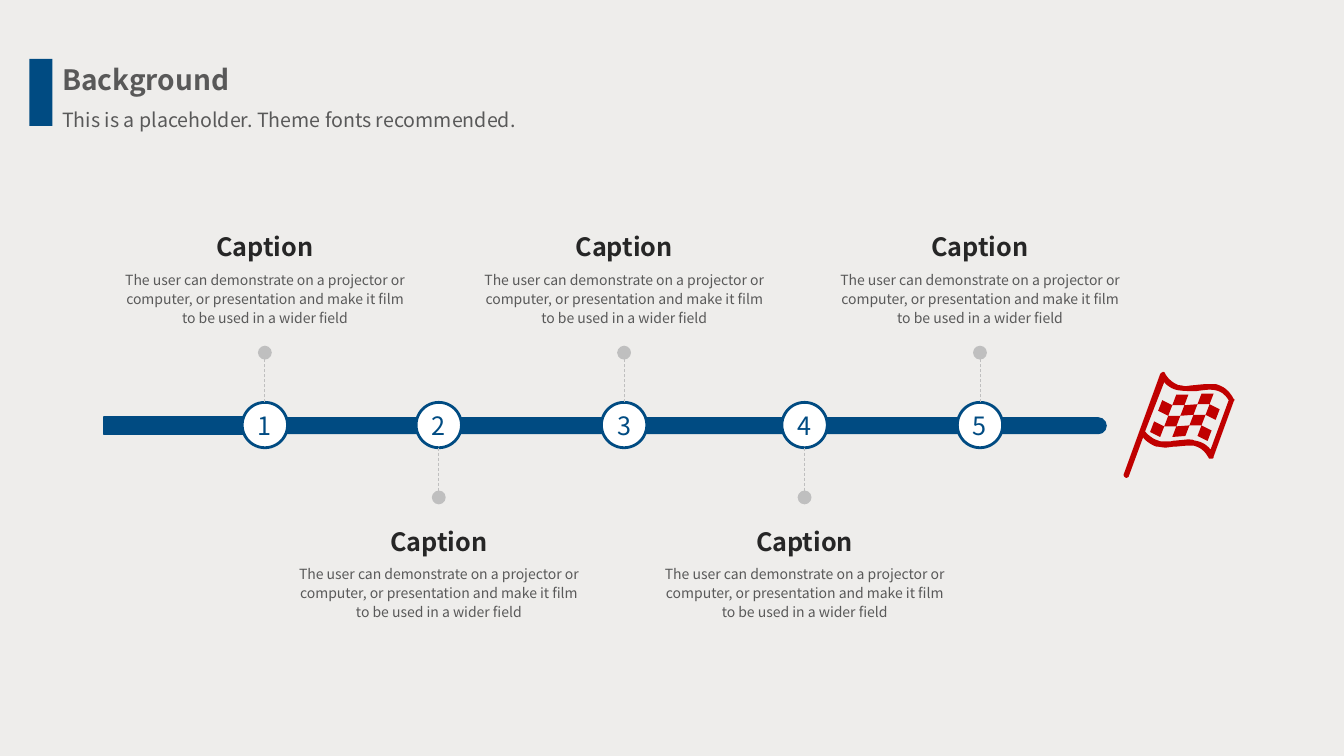
from lxml import etree
from pptx import Presentation
from pptx import util as u
from pptx.dml.color import RGBColor
from pptx.enum import dml, shapes, text
from pptx.oxml.ns import qn

COLORS = {"paper": "EEEDEB", "blue": "004B82", "white": "FFFFFF", "guide": "BFBFBF",
          "red": "C00000", "heading": "262626", "body": "595959"}
FONT = "Noto Sans CJK SC"
BODY = ("The user can demonstrate on a projector or computer, or presentation "
        "and make it film to be used in a wider field")
STEP_CENTERS = [189.2, 313.4, 445.8, 574.7, 700]
ROAD_Y, CIRCLE, GUIDE = 303.6, 32.4, 35.5

# Flag contours in units of 0.72 pt: a start point, then lines (2 values) or Bezier curves (6).
FLAG_LEFT, FLAG_TOP, FLAG_UNIT = 802.08, 265.68, 0.72
FLAG_BORDER = [
    (40, 0), (41, 0, 42, 1, 42, 2), (46, 8, 50, 11, 55, 13), (57, 13, 60, 14, 62, 14),
    (65, 14, 69, 13, 72, 13), (76, 12.5, 81, 12, 85, 12), (88, 12, 90, 12, 92, 12),
    (100, 14, 106, 19, 110, 27), (111, 27, 111, 28, 110, 29), (90, 84),
    (90, 86, 89, 86, 87, 86), (86, 86, 85, 86, 85, 85), (81, 78, 77, 75, 70, 73),
    (69, 73, 67, 73, 65, 73), (61, 73, 56, 74, 52, 74), (49, 74, 45, 75, 42, 75),
    (39, 75, 36, 74, 33, 74), (30, 73, 24, 70, 20, 65), (6, 103),
    (6, 104, 5, 105, 3, 105), (1, 104, 0, 102, 1, 101), (37, 2), (38, 1, 39, 0, 40, 0)]
FLAG_CLOTH = [
    (41, 10), (22, 59), (25, 63, 31, 67, 35, 68), (37, 69, 39, 69, 42, 69),
    (45, 69, 48, 69, 51, 68), (56, 68, 61, 67, 65, 67), (67, 67, 69, 67, 71, 68),
    (78, 69, 83, 72, 87, 77), (105, 28), (101, 22, 97, 19, 91, 18),
    (85, 17, 80, 18, 73, 19), (69, 19, 59, 19, 54, 18), (49, 17, 44, 14, 41, 10)]
CHECK_EDGE = [(39, 28), (49, 33), (61, 33), (74, 32), (86, 32), (96, 37)]
CHECK_STEP = (-4, 10.5)


def flatten(contour, steps=8):
    """Turn a contour of lines and cubic Bezier curves into a list of points."""
    points = [contour[0]]
    for seg in contour[1:]:
        if len(seg) == 2:
            points.append(seg)
            continue
        ends = [points[-1], seg[:2], seg[2:4], seg[4:]]
        for i in range(1, steps + 1):
            t = i / steps
            weights = ((1 - t) ** 3, 3 * t * (1 - t) ** 2, 3 * t * t * (1 - t), t ** 3)
            points.append(tuple(sum(w * p[axis] for w, p in zip(weights, ends))
                                for axis in (0, 1)))
    return points


def flag_checks():
    """Every second cell of a 4 x 5 grid whose rows repeat one wavy edge."""
    def node(row, col):
        x, y = CHECK_EDGE[col]
        return x + (row - 1) * CHECK_STEP[0], y + (row - 1) * CHECK_STEP[1]

    return [[node(r, c), node(r, c + 1), node(r + 1, c + 1), node(r + 1, c)]
            for r in range(4) for c in range(5) if (r + c) % 2]


class Deck:
    def __init__(self, slide):
        self.s = slide
        self.paint(slide.background.fill, "paper")

    def paint(self, fill, color):
        fill.solid()
        fill.fore_color.rgb = RGBColor.from_string(COLORS[color])

    def style(self, sp, fill, line=None, weight=1):
        sp.shadow.inherit = False
        self.paint(sp.fill, fill)
        if line:
            self.paint(sp.line.fill, line)
            sp.line.width = u.Pt(weight)
        else:
            sp.line.fill.background()

    def shape(self, kind, x, y, w, h, fill, line=None, weight=1):
        sp = self.s.shapes.add_shape(kind, u.Pt(x), u.Pt(y), u.Pt(w), u.Pt(h))
        self.style(sp, fill, line, weight)
        return sp

    def set_text(self, sp, words, size, color, bold=False, align=text.PP_ALIGN.CENTER,
                 spacing=1.0):
        p = sp.text_frame.paragraphs[0]
        p.text = words
        p.alignment = align
        p.line_spacing = spacing
        p.font.name, p.font.size, p.font.bold = FONT, u.Pt(size), bold
        p.font.color.rgb = RGBColor.from_string(COLORS[color])

    def label(self, x, y, w, h, words, size, color, **options):
        sp = self.s.shapes.add_textbox(u.Pt(x), u.Pt(y), u.Pt(w), u.Pt(h))
        sp.text_frame.word_wrap = True
        sp.text_frame.auto_size = text.MSO_AUTO_SIZE.SHAPE_TO_FIT_TEXT
        self.set_text(sp, words, size, color, **options)

    def circle(self, center, number):
        sp = self.shape(shapes.MSO_SHAPE.OVAL, center - CIRCLE / 2, ROAD_Y - CIRCLE / 2,
                        CIRCLE, CIRCLE, "white", "blue", 2)
        tf = sp.text_frame
        tf.margin_left = tf.margin_right = tf.margin_top = tf.margin_bottom = 0
        tf.vertical_anchor = text.MSO_ANCHOR.MIDDLE
        tf.word_wrap = False
        self.set_text(sp, str(number), 18, "blue")

    def guide(self, x, start, end):
        """Dashed line with a dot at its end."""
        line = self.s.shapes.add_connector(shapes.MSO_CONNECTOR.STRAIGHT,
                                           u.Pt(x), u.Pt(start), u.Pt(x), u.Pt(end))
        self.paint(line.line.fill, "guide")
        line.line.width = u.Pt(0.5)
        line.line.dash_style = dml.MSO_LINE.DASH
        props = line.element.spPr
        etree.SubElement(props.find(qn("a:ln")), qn("a:tailEnd"), type="oval", w="lg", len="lg")
        etree.SubElement(props, qn("a:effectLst"))

    def caption(self, center, y):
        self.label(center - 84, y, 168, 28.8, "Caption", 18, "heading", bold=True)
        self.label(center - 109, y + 26.6, 218, 46, BODY, 10, "body", spacing=1.14)

    def outline(self, x, y, unit, contours, fill):
        fine = 10
        scaled = [[(px * fine, py * fine) for px, py in c] for c in contours]
        builder = self.s.shapes.build_freeform(*scaled[0][0], scale=u.Pt(unit) / fine)
        for i, points in enumerate(scaled):
            if i:
                builder.move_to(*points[0])
            builder.add_line_segments(points[1:], close=True)
        self.style(builder.convert_to_shape(u.Pt(x), u.Pt(y)), fill)


def main():
    prs = Presentation()
    prs.slide_width, prs.slide_height = u.Pt(960), u.Pt(540)
    deck = Deck(prs.slides.add_slide(prs.slide_layouts[6]))

    road = deck.shape(shapes.MSO_SHAPE.ROUNDED_RECTANGLE, 190.8, 298, 599.8, 12.2, "blue")
    road.adjustments[0] = 0.5
    deck.shape(shapes.MSO_SHAPE.RECTANGLE, 74.2, 298, 126, 12.2, "blue", "blue")

    for number, center in enumerate(STEP_CENTERS, 1):
        above = number % 2
        side = -1 if above else 1
        edge = ROAD_Y + side * CIRCLE / 2
        deck.circle(center, number)
        deck.guide(center, edge, edge + side * GUIDE)
        deck.caption(center, 162 if above else 372.2)

    deck.outline(FLAG_LEFT, FLAG_TOP, FLAG_UNIT,
                 [flatten(FLAG_BORDER), flatten(FLAG_CLOTH), *flag_checks()], "red")

    left = text.PP_ALIGN.LEFT
    deck.shape(shapes.MSO_SHAPE.RECTANGLE, 21, 42, 16.5, 48, "blue")
    deck.label(37.4, 41, 354, 31.5, "Background", 20, "body", bold=True, align=left)
    deck.label(37.4, 64.8, 512, 27.4, "This is a placeholder. Theme fonts recommended.",
               14, "body", align=left, spacing=1.5)
    prs.save("out.pptx")


if __name__ == "__main__":
    main()
